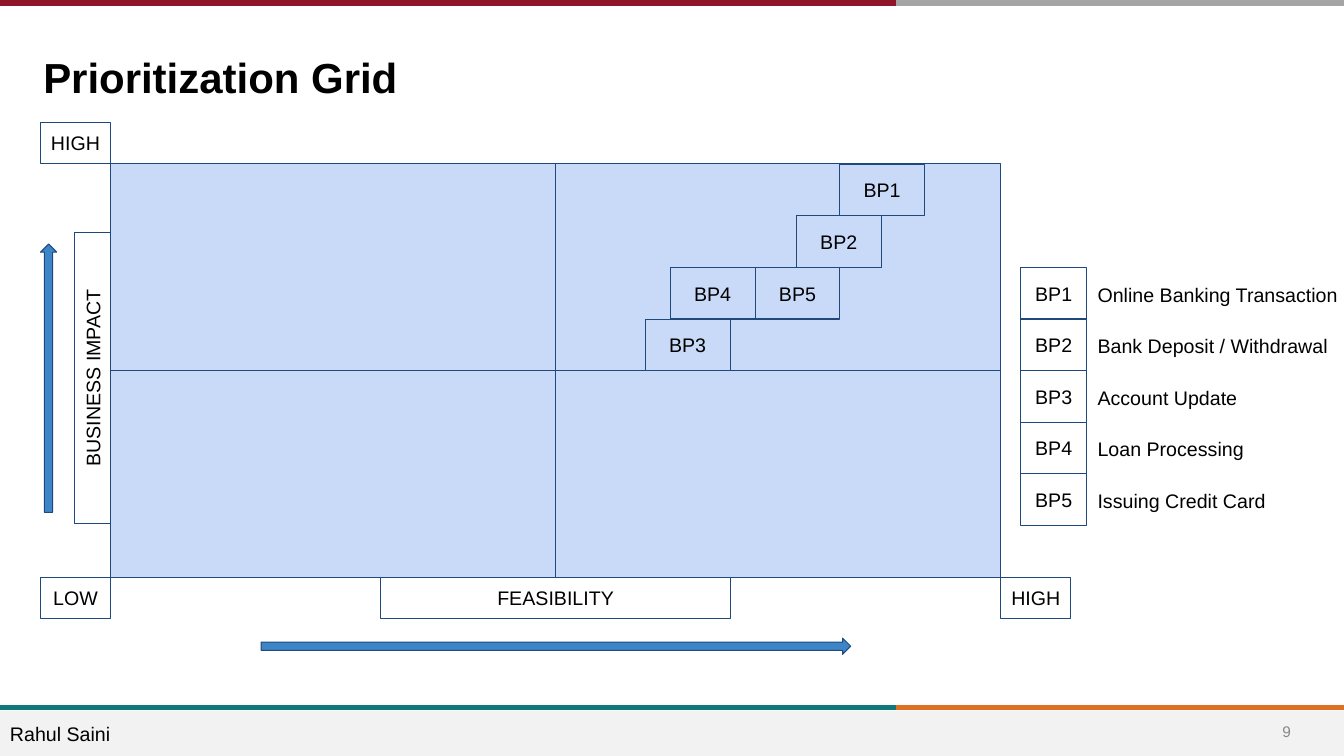
import pptx
import pptx.dml.color
import pptx.enum.shapes
import pptx.enum.text
import pptx.oxml
import pptx.oxml.ns
import pptx.util

Cm = pptx.util.Cm
Pt = pptx.util.Pt
SHAPE = pptx.enum.shapes.MSO_SHAPE
ALIGN = pptx.enum.text.PP_ALIGN
ANCHOR = pptx.enum.text.MSO_ANCHOR

NAVY, ARROW_BLUE, GRID_BLUE = "1F497D", "3D85C6", "C9DAF8"
SLIDE_WIDTH, SLIDE_HEIGHT = 33.87, 19.05
BAR_SPLIT = 22.58
GRID_LEFT, GRID_TOP, GRID_WIDTH, GRID_HEIGHT = 2.79, 4.11, 22.43, 10.45
GRID_RIGHT, GRID_BOTTOM = GRID_LEFT + GRID_WIDTH, GRID_TOP + GRID_HEIGHT
MIDDLE_X, MIDDLE_Y = GRID_LEFT + GRID_WIDTH / 2, GRID_TOP + GRID_HEIGHT / 2
LABEL_WIDTH, LABEL_HEIGHT = 1.77, 1.02
ROW_TOP, ROW_HEIGHT = 4.14, 1.3
PROCESS_WIDTH = 2.14
LEGEND_LEFT, LEGEND_KEY_WIDTH, LEGEND_FIRST_ROW = 25.73, 1.65, 2

# name, left edge and row in the grid
PROCESSES = [("BP3", 16.26, 3), ("BP4", 16.89, 2), ("BP5", 19.03, 2),
             ("BP2", 20.07, 1), ("BP1", 21.16, 0)]
LEGEND = {
    "BP1": "Online Banking Transaction",
    "BP2": "Bank Deposit / Withdrawal",
    "BP3": "Account Update",
    "BP4": "Loan Processing",
    "BP5": "Issuing Credit Card",
}


def color(value):
    return pptx.dml.color.RGBColor.from_string(value)


def place(left, top, width, height):
    return Cm(left), Cm(top), Cm(width), Cm(height)


def write_text(shape, text, size=14, text_color="000000", bold=False, align=ALIGN.LEFT,
               anchor=ANCHOR.TOP, inset=0.25, right_inset=0.25, space_before=0):
    frame = shape.text_frame
    frame.word_wrap = True
    frame.auto_size = pptx.enum.text.MSO_AUTO_SIZE.NONE
    frame.vertical_anchor = anchor
    frame.margin_left, frame.margin_right = Cm(0.25), Cm(right_inset)
    frame.margin_top = frame.margin_bottom = Cm(inset)
    paragraph = frame.paragraphs[0]
    paragraph.alignment = align
    paragraph.space_before = Pt(space_before)
    run = paragraph.add_run()
    run.text = text
    run.font.name = "Arial"
    run.font.size = Pt(size)
    run.font.bold = bold
    run.font.color.rgb = color(text_color)


def add_text(slide, text, box, **text_format):
    write_text(slide.shapes.add_textbox(*place(*box)), text, **text_format)


def fill_placeholder(placeholder, text, box, **text_format):
    """Write into a placeholder without bullet and bring it to the front."""
    placeholder.left, placeholder.top, placeholder.width, placeholder.height = place(*box)
    write_text(placeholder, text, inset=0.13, **text_format)
    properties = placeholder.text_frame.paragraphs[0]._p.get_or_add_pPr()
    properties.set("marL", "0")
    properties.set("indent", "0")
    properties.append(pptx.oxml.parse_xml(
        f"<a:buNone {pptx.oxml.ns.nsdecls('a')}/>"))
    placeholder.element.getparent().append(placeholder.element)


def add_shape(slide, kind, box, fill=None, line=NAVY):
    shape = slide.shapes.add_shape(kind, *place(*box))
    shape.shadow.inherit = False
    if fill:
        shape.fill.solid()
        shape.fill.fore_color.rgb = color(fill)
    else:
        shape.fill.background()
    if line:
        shape.line.color.rgb = color(line)
        shape.line.width = Pt(0.75)
    else:
        shape.line.fill.background()
    return shape


def add_label(slide, text, box, rotation=0):
    """Outlined box with centred text."""
    shape = add_shape(slide, SHAPE.RECTANGLE, box)
    shape.rotation = rotation
    write_text(shape, text, align=ALIGN.CENTER, anchor=ANCHOR.MIDDLE)


def add_line(slide, start, end, line_color=NAVY, width=0.75):
    line = slide.shapes.add_connector(
        pptx.enum.shapes.MSO_CONNECTOR.STRAIGHT,
        Cm(start[0]), Cm(start[1]), Cm(end[0]), Cm(end[1]))
    line.line.color.rgb = color(line_color)
    line.line.width = Pt(width)
    line.element.spPr.append(pptx.oxml.parse_xml(
        f"<a:effectLst {pptx.oxml.ns.nsdecls('a')}/>"))


def add_frame(slide):
    """Footer band and the two-coloured bars at top and bottom."""
    add_shape(slide, SHAPE.RECTANGLE, (0, 17.91, SLIDE_WIDTH, 1.14), "F2F2F2", line=None)
    for y, left_color, right_color in [(17.83, "0F787D", "DF7023"), (0.08, "90152A", "A5A5A5")]:
        add_line(slide, (BAR_SPLIT, y), (SLIDE_WIDTH, y), right_color, 4)
        add_line(slide, (0, y), (BAR_SPLIT, y), left_color, 4)


def add_grid(slide):
    add_shape(slide, SHAPE.RECTANGLE, (GRID_LEFT, GRID_TOP, GRID_WIDTH, GRID_HEIGHT), GRID_BLUE)
    add_shape(slide, SHAPE.UP_ARROW, (1.02, 6.15, 0.41, 6.76), ARROW_BLUE)
    add_shape(slide, SHAPE.RIGHT_ARROW, (6.58, 16.08, 14.86, 0.41), ARROW_BLUE)
    add_line(slide, (MIDDLE_X, GRID_TOP), (MIDDLE_X, GRID_BOTTOM))
    add_line(slide, (GRID_LEFT, MIDDLE_Y), (GRID_RIGHT, MIDDLE_Y))


def add_axis_labels(slide):
    add_label(slide, "FEASIBILITY", (9.6, GRID_BOTTOM, 8.81, LABEL_HEIGHT))
    add_label(slide, "BUSINESS IMPACT", (-1.33, 9.07, 7.32, 0.9), rotation=270)
    axis_left = GRID_LEFT - LABEL_WIDTH
    for text, left, top in [("LOW", axis_left, GRID_BOTTOM),
                            ("HIGH", GRID_RIGHT, GRID_BOTTOM),
                            ("HIGH", axis_left, GRID_TOP - LABEL_HEIGHT)]:
        add_label(slide, text, (left, top, LABEL_WIDTH, LABEL_HEIGHT))


def add_processes(slide):
    for name, left, row in PROCESSES:
        add_label(slide, name, (left, ROW_TOP + row * ROW_HEIGHT, PROCESS_WIDTH, ROW_HEIGHT))


def add_legend(slide):
    text_left = LEGEND_LEFT + LEGEND_KEY_WIDTH + 0.03
    for row, (name, description) in enumerate(LEGEND.items(), LEGEND_FIRST_ROW):
        top = ROW_TOP + row * ROW_HEIGHT
        add_label(slide, name, (LEGEND_LEFT, top, LEGEND_KEY_WIDTH, ROW_HEIGHT))
        add_text(slide, description, (text_left, top + 0.13, SLIDE_WIDTH - text_left, 1.02),
                 right_inset=0)


def main():
    presentation = pptx.Presentation()
    presentation.slide_width, presentation.slide_height = Cm(SLIDE_WIDTH), Cm(SLIDE_HEIGHT)
    slide = presentation.slides.add_slide(presentation.slide_layouts[1])
    add_frame(slide)
    add_text(slide, "9", (31.55, 17.91, 1.75, 1.02), size=11, text_color="888888",
             align=ALIGN.CENTER, anchor=ANCHOR.MIDDLE, inset=0.13)
    fill_placeholder(slide.shapes.title, "Prioritization Grid", (0.84, 1.17, 27.05, 1.5),
                     size=30, bold=True, space_before=3)
    fill_placeholder(slide.placeholders[1], "Rahul Saini", (0, 18.06, 13.46, 0.99),
                     space_before=3)
    add_grid(slide)
    add_axis_labels(slide)
    add_processes(slide)
    add_legend(slide)
    presentation.save("out.pptx")


if __name__ == "__main__":
    main()
